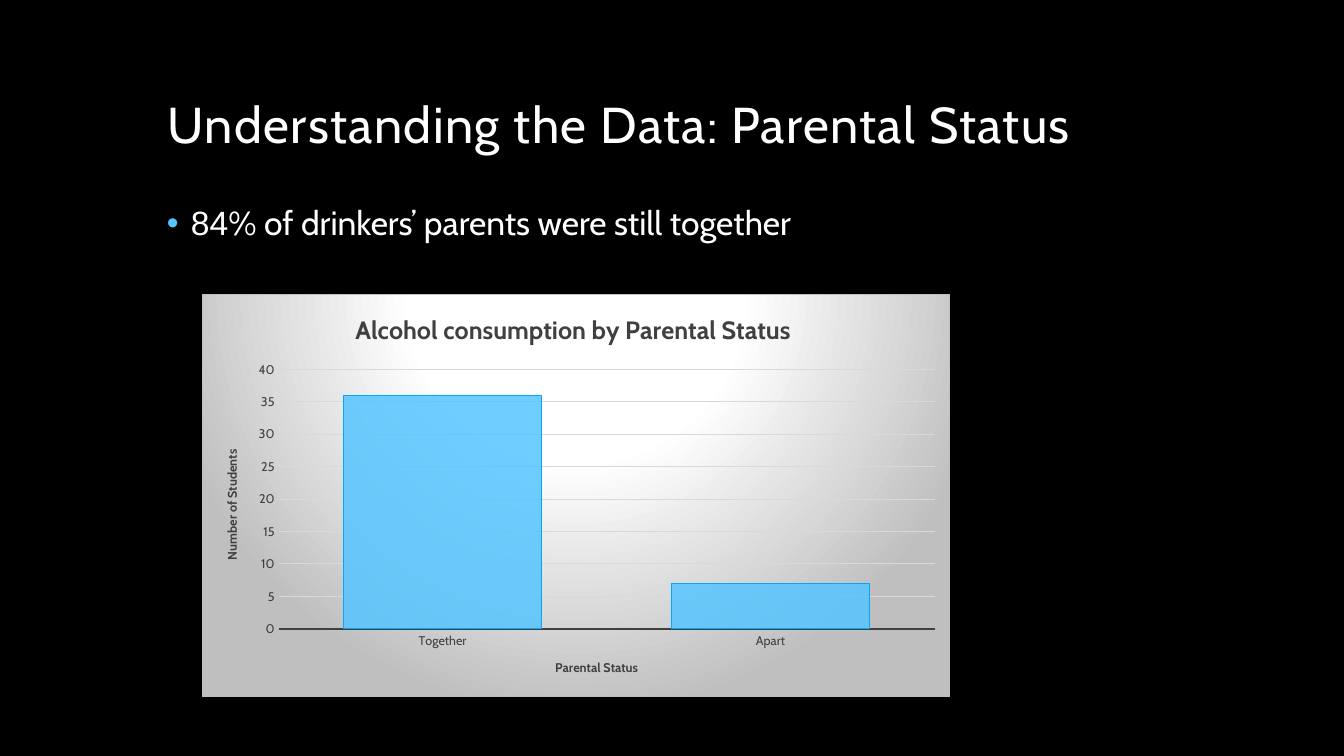
"""Build the slide on alcohol consumption by parental status."""
from dataclasses import dataclass

from lxml import etree
from pptx import Presentation
from pptx.chart.data import CategoryChartData
from pptx.dml.color import RGBColor
from pptx.enum.chart import XL_CHART_TYPE, XL_TICK_MARK
from pptx.enum.text import MSO_ANCHOR
from pptx.oxml import parse_xml
from pptx.oxml.ns import nsdecls, qn
from pptx.util import Emu, Pt

COLUMNS = XL_CHART_TYPE.COLUMN_CLUSTERED
NO_TICK = XL_TICK_MARK.NONE
TOP, BOTTOM = MSO_ANCHOR.TOP, MSO_ANCHOR.BOTTOM
EMU_PER_PX = 914400 / 100.8


@dataclass(frozen=True)
class Theme:
    background: str = "000000"
    text: str = "FFFFFF"
    chart_text: str = "404040"
    bar: str = "56C5FF"
    bar_edge: str = "01A8FF"
    grid: str = "D9D9D9"
    panel_edge: str = "BFBFBF"
    font: str = "Cabin"
    digit_font: str = "Arial"
    heading_size: int = 36
    body_size: int = 24
    chart_title_size: int = 18
    chart_size: int = 10
    axis_size: int = 9


@dataclass(frozen=True)
class Box:
    left: int
    top: int
    width: int
    height: int

    def emu(self):
        return [px(n) for n in (self.left, self.top, self.width, self.height)]


@dataclass(frozen=True)
class AxisStyle:
    title: str
    rotation: int
    line_width: float


THEME = Theme()
HEADING_BOX = Box(158, 58, 1008, 101)
BODY_BOX = Box(157, 202, 1007, 454)
CHART_BOX = Box(202, 294, 748, 403)
CATEGORY_STYLE = AxisStyle("Parental Status", 0, 1.5)
VALUE_STYLE = AxisStyle("Number of Students", -5400000, 0)
STUDENTS = {"Together": 36, "Apart": 7}


def px(length: int) -> Emu:
    return Emu(round(length * EMU_PER_PX))


def rgb(color: str) -> RGBColor:
    return RGBColor.from_string(color)


def write(paragraph, text: str, *, size: int, color: str = THEME.text,
          font: str = THEME.font, bold: bool = False, spacing: int = 0) -> None:
    run = paragraph.add_run()
    run.text = text
    style_font(run.font, size, color, font, bold)
    if spacing:
        run.font._element.set("spc", str(spacing))


def style_font(target, size: int, color: str, font: str = THEME.font,
               bold: bool = False) -> None:
    target.size, target.name, target.bold = Pt(size), font, bold
    target.color.rgb = rgb(color)


def style_line(line, color: str, width: float) -> None:
    if width:
        line.color.rgb = rgb(color)
        line.width = Pt(width)
    else:
        line.fill.background()


def add_text(slide, box: Box, anchor):
    frame = slide.shapes.add_textbox(*box.emu()).text_frame
    frame.word_wrap = True
    frame.vertical_anchor = anchor
    paragraph = frame.paragraphs[0]
    paragraph.line_spacing = 0.9
    return paragraph


def add_bullet(paragraph, color: str) -> None:
    properties = paragraph._p.get_or_add_pPr()
    indent = px(24)
    properties.set("marL", str(indent))
    properties.set("indent", str(-indent))
    bullet_color = etree.SubElement(properties, qn("a:buClr"))
    etree.SubElement(bullet_color, qn("a:srgbClr"), val=color)
    etree.SubElement(properties, qn("a:buFont"), typeface=THEME.digit_font)
    etree.SubElement(properties, qn("a:buChar"), char="•")


def style_axis(axis, style: AxisStyle) -> None:
    axis.major_tick_mark = axis.minor_tick_mark = NO_TICK
    style_font(axis.tick_labels.font, THEME.axis_size, THEME.chart_text)
    style_line(axis.format.line, THEME.chart_text, style.line_width)
    frame = axis.axis_title.text_frame
    write(frame.paragraphs[0], style.title, size=THEME.axis_size,
          color=THEME.chart_text, bold=True)
    body = frame._txBody.find(qn("a:bodyPr"))
    body.set("rot", str(style.rotation))
    body.set("vert", "horz")


def fill_panel(chart) -> None:
    stops = ((0, THEME.text), (39, THEME.text), (100, THEME.panel_edge))
    stop_xml = "".join(
        f'<a:gs pos="{position * 1000}"><a:srgbClr val="{color}"/></a:gs>'
        for position, color in stops)
    panel = parse_xml(
        f'<c:spPr {nsdecls("c", "a")}><a:gradFill><a:gsLst>{stop_xml}</a:gsLst>'
        '<a:path path="circle"><a:fillToRect l="50000" t="-80000" r="50000" '
        f'b="180000"/></a:path></a:gradFill><a:ln w="{Pt(0.75)}"><a:solidFill>'
        f'<a:srgbClr val="{THEME.panel_edge}"/></a:solidFill></a:ln></c:spPr>')
    chart._chartSpace.find(qn("c:chart")).addnext(panel)


def add_status_chart(slide) -> None:
    data = CategoryChartData()
    data.categories = list(STUDENTS)
    data.add_series("Series 1", list(STUDENTS.values()))
    chart = slide.shapes.add_chart(COLUMNS, *CHART_BOX.emu(), data).chart
    style_font(chart.font, THEME.chart_size, THEME.text)
    fill_panel(chart)
    chart.has_legend = False
    write(chart.chart_title.text_frame.paragraphs[0],
          "Alcohol consumption by Parental Status ",
          size=THEME.chart_title_size, color=THEME.chart_text, bold=True)
    chart.chart_title.include_in_layout = False

    style_axis(chart.category_axis, CATEGORY_STYLE)
    counts = chart.value_axis
    style_axis(counts, VALUE_STYLE)
    counts.minimum_scale, counts.maximum_scale, counts.major_unit = 0, 40, 5
    style_line(counts.major_gridlines.format.line, THEME.grid, 0.75)

    plot = chart.plots[0]
    plot.gap_width = 65
    plot.vary_by_categories = False
    bars = plot.series[0]
    bars.format.fill.solid()
    bars.format.fill.fore_color.rgb = rgb(THEME.bar)
    bar_color = bars._element.find(f'{qn("c:spPr")}/{qn("a:solidFill")}/{qn("a:srgbClr")}')
    etree.SubElement(bar_color, qn("a:alpha"), val="85000")
    style_line(bars.format.line, THEME.bar_edge, 0.75)


def main() -> None:
    deck = Presentation()
    deck.slide_width, deck.slide_height = px(1344), px(756)
    slide = deck.slides.add_slide(deck.slide_layouts[6])
    slide.background.fill.solid()
    slide.background.fill.fore_color.rgb = rgb(THEME.background)

    heading = add_text(slide, HEADING_BOX, BOTTOM)
    write(heading, "Understanding the Data: Parental Status",
          size=THEME.heading_size, spacing=100)

    finding = add_text(slide, BODY_BOX, TOP)
    finding.space_before = Pt(18)
    add_bullet(finding, THEME.bar)
    write(finding, "84", size=THEME.body_size, font=THEME.digit_font)
    write(finding, "% of drinkers’ parents were still together", size=THEME.body_size)

    add_status_chart(slide)
    deck.save("out.pptx")


if __name__ == "__main__":
    main()
